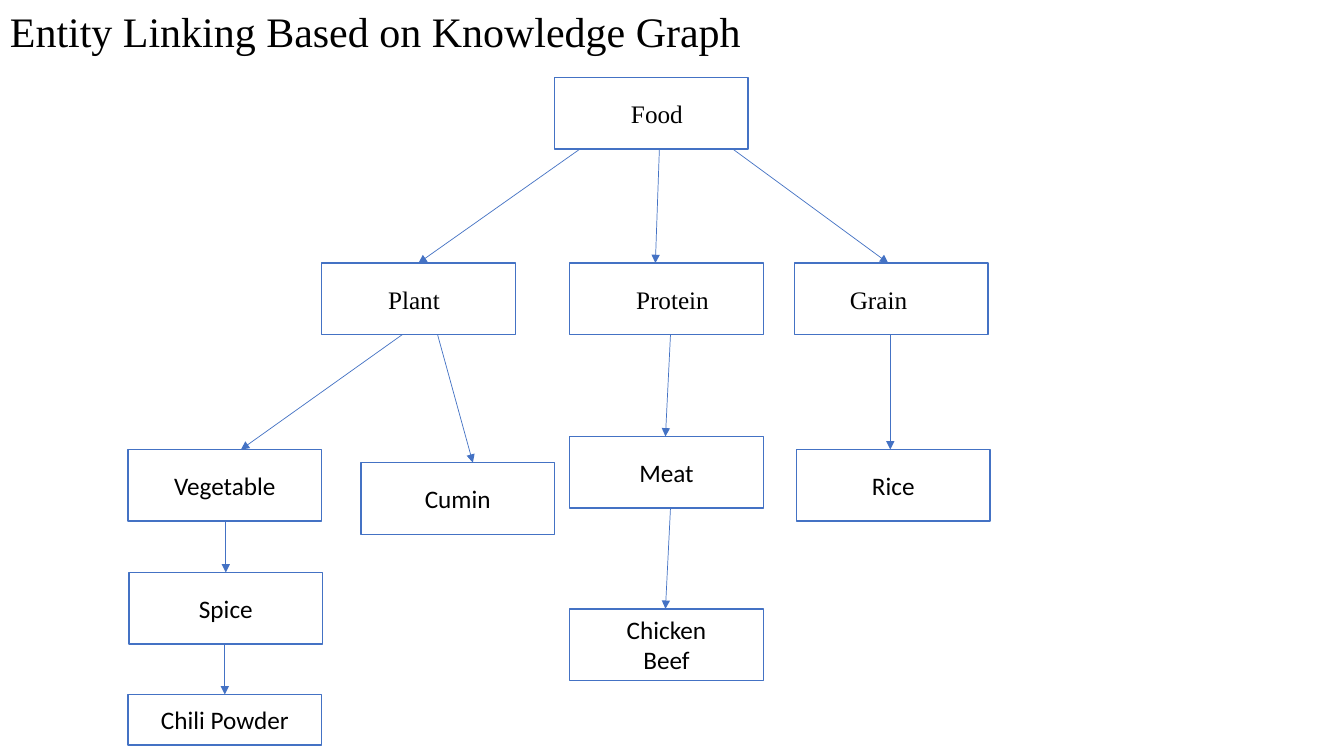
from lxml import etree
from pptx import Presentation, util as u
from pptx.dml.color import RGBColor
from pptx.enum import shapes, text
from pptx.oxml.ns import qn

SERIF, SANS = "Times New Roman", "Calibri"
BLUE, WHITE, BLACK = "4472C4", "FFFFFF", "000000"
NODE_W, NODE_H = 1.92, 0.71

# Grid: left edge of each column, top edge of each row, in inches
COLUMNS = {"leaf": 1.27, "spice": 1.28, "plant": 3.19, "cumin": 3.58,
           "root": 5.5, "protein": 5.65, "grain": 7.88, "rice": 7.9}
ROWS = {"root": 0.77, "group": 2.61, "meat": 4.33, "kind": 4.46,
        "cumin": 4.59, "spice": 5.68, "dish": 6.04, "powder": 6.89}

# Node: column, row, height, label indent (None centres the label in the node)
NODES = {
    "Food": ("root", "root", NODE_H, 0.66),
    "Plant": ("plant", "group", NODE_H, 0.56),
    "Protein": ("protein", "group", NODE_H, 0.56),
    "Grain": ("grain", "group", NODE_H, 0.45),
    "Meat": ("protein", "meat", NODE_H, None),
    "Chicken\nBeef": ("protein", "dish", NODE_H, None),
    "Rice": ("rice", "kind", NODE_H, None),
    "Vegetable": ("leaf", "kind", NODE_H, None),
    "Cumin": ("cumin", "cumin", NODE_H, None),
    "Spice": ("spice", "spice", NODE_H, None),
    "Chili Powder": ("leaf", "powder", 0.5, None),
}

# Link: parent, child, and the distance of each end from its node's left edge
LINKS = [
    ("Food", "Plant", 0.25, 0.96),
    ("Food", "Protein", 1.04, 0.85),
    ("Food", "Grain", 1.77, 0.93),
    ("Plant", "Vegetable", 0.8, 1.12),
    ("Plant", "Cumin", 1.15, 1.11),
    ("Protein", "Meat", 1.0, 0.95),
    ("Meat", "Chicken\nBeef", 1.0, 0.95),
    ("Grain", "Rice", 0.95, 0.93),
    ("Vegetable", "Spice", 0.97, 0.96),
    ("Spice", "Chili Powder", 0.95, 0.96),
]


def color(value):
    return RGBColor.from_string(value)


def inches(*lengths):
    return [u.Inches(length) for length in lengths]


def apply(target, formats):
    for name, value in formats.items():
        setattr(target, name, value)


def write(frame, wording, font, size, **paragraph_format):
    frame.text = wording
    for paragraph in frame.paragraphs:
        apply(paragraph, paragraph_format)
        apply(paragraph.font, {"name": font, "size": u.Pt(size)})
        paragraph.font.color.rgb = color(BLACK)


def add_label(slide, wording, area, size, anchor, **paragraph_format):
    label = slide.shapes.add_textbox(*inches(*area))
    apply(label.text_frame, {"word_wrap": True, "vertical_anchor": anchor})
    write(label.text_frame, wording, SERIF, size, **paragraph_format)


def add_node(slide, name):
    column, row, height, indent = NODES[name]
    left, top = COLUMNS[column], ROWS[row]
    node = slide.shapes.add_shape(shapes.MSO_SHAPE.RECTANGLE,
                                  *inches(left, top, NODE_W, height))
    node.shadow.inherit = False
    node.fill.solid()
    node.fill.fore_color.rgb = color(WHITE)
    node.line.color.rgb = color(BLUE)
    node.line.width = u.Pt(1)
    if indent is None:
        node.text_frame.vertical_anchor = text.MSO_ANCHOR.MIDDLE
        write(node.text_frame, name, SANS, 18, alignment=text.PP_ALIGN.CENTER)
    else:
        add_label(slide, name, (left + indent, top + 0.16, 1.62, 0.4), 18,
                  text.MSO_ANCHOR.TOP)


def add_link(slide, parent, child, leave, enter):
    column, row, height, _ = NODES[parent]
    child_column, child_row, *_ = NODES[child]
    link = slide.shapes.add_connector(
        shapes.MSO_CONNECTOR.STRAIGHT,
        *inches(COLUMNS[column] + leave, ROWS[row] + height,
                COLUMNS[child_column] + enter, ROWS[child_row]))
    link.line.color.rgb = color(BLUE)
    link.line.width = u.Pt(0.5)
    # Arrowhead at the child, no shadow
    etree.SubElement(link.line._get_or_add_ln(), qn("a:tailEnd"), type="triangle")
    etree.SubElement(link._element.spPr, qn("a:effectLst"))


def main():
    deck = Presentation()
    apply(deck, dict(zip(("slide_width", "slide_height"), inches(13.33, 7.5))))
    slide = deck.slides.add_slide(deck.slide_layouts[6])

    # Knowledge graph
    for name in NODES:
        add_node(slide, name)
    for link in LINKS:
        add_link(slide, *link)

    # Title
    add_label(slide, "Entity Linking Based on Knowledge Graph", (0, -0.16, 11.97, 1),
              30, text.MSO_ANCHOR.MIDDLE, line_spacing=0.9)

    deck.save("out.pptx")


if __name__ == "__main__":
    main()
